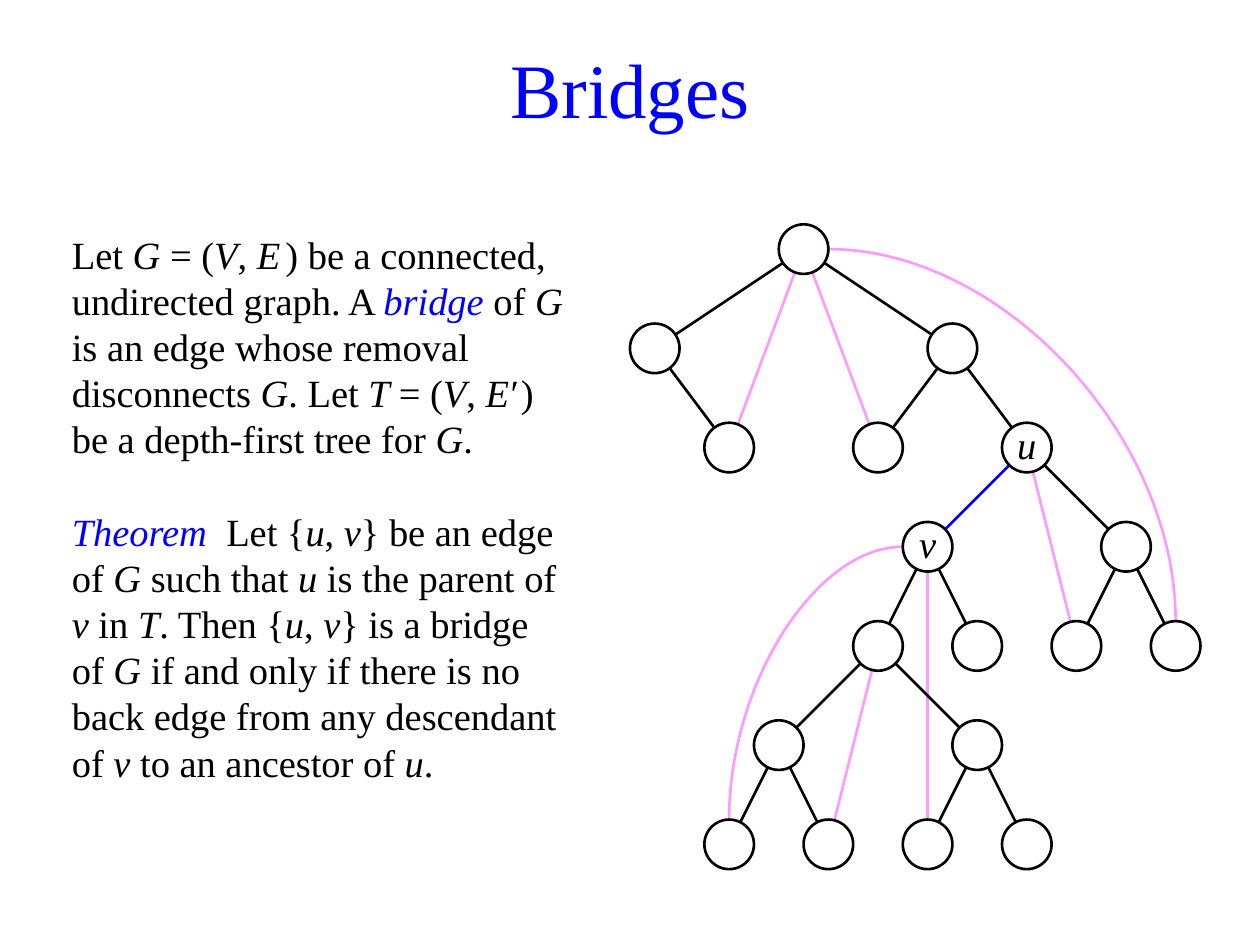
import pptx
import pptx.dml.color
import pptx.enum.shapes
import pptx.enum.text
import pptx.oxml
import pptx.oxml.ns
import pptx.util

Pt = pptx.util.Pt
FONT = "Times New Roman"
BLACK, BLUE, PINK, WHITE = "000000", "0000FF", "FF99FF", "FFFFFF"
STYLES = {"roman": (BLACK, False), "italic": (BLACK, True), "term": (BLUE, True)}

# Each piece is text, style and, where needed, letter spacing in points.
DEFINITION = [
    ("Let ", "roman"), ("G ", "italic"), ("= (", "roman"), ("V", "italic"),
    (", ", "roman"), ("E", "italic", 3),
    (") be a connected, undirected graph. A ", "roman"), ("bridge", "term"),
    (" of ", "roman"), ("G", "italic"),
    (" is an edge whose removal disconnects ", "roman"), ("G", "italic"),
    (". Let ", "roman"), ("T ", "italic"), ("= (", "roman"), ("V", "italic"),
    (", ", "roman"), ("E", "italic", 1), ("′", "roman", 1),
    (") be a depth-first tree for ", "roman"), ("G", "italic"), (".", "roman"),
]
THEOREM = [
    ("Theorem", "term"), (" ", "term", 5.5), ("Let {", "roman"), ("u", "italic"),
    (", ", "roman"), ("v", "italic"), ("} be an edge of ", "roman"),
    ("G", "italic"), (" such that ", "roman"), ("u", "italic"),
    (" is the parent of ", "roman"), ("v", "italic"), (" in ", "roman"),
    ("T", "italic"), (". Then {", "roman"), ("u", "italic"), (", ", "roman"),
    ("v", "italic"), ("} is a bridge of ", "roman"), ("G", "italic"),
    (" if and only if there is no back edge from any descendant of ", "roman"),
    ("v", "italic"), (" to an ancestor of ", "roman"), ("u", "italic"),
    (".", "roman"),
]

# Node name: (column in node radii, level in the tree).
NODES = {
    "root": (6, 0), "a": (0, 1), "b": (12, 1), "c": (3, 2), "d": (9, 2),
    "u": (15, 2), "v": (11, 3), "e": (19, 3), "f": (9, 4), "g": (13, 4),
    "h": (17, 4), "i": (21, 4), "j": (5, 5), "k": (13, 5), "l": (3, 6),
    "m": (7, 6), "n": (11, 6), "o": (15, 6),
}
CHILDREN = {"root": "ab", "a": "c", "b": "du", "u": "ve", "v": "fg",
            "e": "hi", "f": "jk", "j": "lm", "k": "no"}
BACK_EDGES = [("c", "root"), ("d", "root"), ("h", "u"), ("n", "v"), ("m", "f")]
CURVED_BACK_EDGES = [("root", "i"), ("v", "l")]


def colour(code):
    return pptx.dml.color.RGBColor.from_string(code)


def add_span(para, text, size, code, italic=False, spacing=0):
    span = para.add_run()
    span.text = text
    font = span.font
    font.name, font.size, font.italic = FONT, Pt(size), italic
    font.color.rgb = colour(code)
    if spacing:
        span.font._element.set("spc", str(round(spacing * 100)))


def place_title(page, left, top, width, height):
    title = page.shapes.title
    title.left, title.top = Pt(left), Pt(top)
    title.width, title.height = Pt(width), Pt(height)
    frame = title.text_frame
    frame.vertical_anchor = pptx.enum.text.MSO_ANCHOR.MIDDLE
    para = frame.paragraphs[0]
    para.alignment = pptx.enum.text.PP_ALIGN.CENTER
    add_span(para, "Bridges", 44, BLUE)


def place_statements(page, left, top, width, height):
    box = page.shapes.add_textbox(Pt(left), Pt(top), Pt(width), Pt(height))
    frame = box.text_frame
    frame.word_wrap = True
    line_height = 26.4
    for index, pieces in enumerate([DEFINITION, THEOREM]):
        para = frame.add_paragraph() if index else frame.paragraphs[0]
        para.line_spacing = Pt(line_height)
        para.space_before = Pt(line_height * index)
        for text, style, *spacing in pieces:
            add_span(para, text, 22, *STYLES[style], *spacing)


def add_edge(page, start, end, code, curved=False):
    kinds = pptx.enum.shapes.MSO_CONNECTOR
    edge = page.shapes.add_connector(
        kinds.CURVE if curved else kinds.STRAIGHT,
        *(Pt(value) for value in (*start, *end)))
    edge.line.color.rgb = colour(code)
    edge.line.width = Pt(1.5)
    properties = edge._element.spPr
    if curved:
        geometry = properties.find(pptx.oxml.ns.qn("a:prstGeom"))
        geometry.set("prst", "curvedConnector2")
    properties.append(pptx.oxml.parse_xml(
        "<a:effectLst %s/>" % pptx.oxml.ns.nsdecls("a")))


def add_node(page, centre, radius, label):
    x, y = centre
    node = page.shapes.add_shape(
        pptx.enum.shapes.MSO_SHAPE.OVAL, Pt(x - radius), Pt(y - radius),
        Pt(2 * radius), Pt(2 * radius))
    node.shadow.inherit = False
    node.fill.solid()
    node.fill.fore_color.rgb = colour(WHITE)
    node.line.color.rgb = colour(BLACK)
    node.line.width = Pt(1.5)
    if label:
        frame = node.text_frame
        frame.word_wrap = False
        frame.vertical_anchor = pptx.enum.text.MSO_ANCHOR.MIDDLE
        frame.margin_left = frame.margin_right = Pt(7.2)
        frame.margin_top, frame.margin_bottom = Pt(0), Pt(4.3)
        para = frame.paragraphs[0]
        para.alignment = pptx.enum.text.PP_ALIGN.CENTER
        add_span(para, label, 22, BLACK, True)


def place_tree(page, left, top, width, height):
    radius = width / 23
    level_gap = (height - 2 * radius) / 6
    centres = {name: (left + radius * (column + 1), top + radius + level_gap * level)
               for name, (column, level) in NODES.items()}

    for start, end in CURVED_BACK_EDGES:
        (start_x, start_y), (end_x, end_y) = centres[start], centres[end]
        side = radius if end_x > start_x else -radius
        add_edge(page, (start_x + side, start_y), (end_x, end_y - radius), PINK, True)
    for start, end in BACK_EDGES:
        add_edge(page, centres[start], centres[end], PINK)
    for parent, children in CHILDREN.items():
        for child in children:
            code = BLUE if (parent, child) == ("u", "v") else BLACK
            add_edge(page, centres[parent], centres[child], code)
    for name, centre in centres.items():
        add_node(page, centre, radius, name if name in ("u", "v") else "")


def main():
    deck = pptx.Presentation()
    deck.slide_width, deck.slide_height = Pt(720), Pt(540)
    page = deck.slides.add_slide(deck.slide_layouts[5])
    place_title(page, 34, 15, 652, 70.5)
    place_statements(page, 34, 128.2, 297.4, 326)
    place_tree(page, 360, 128.2, 326, 368.5)
    deck.save("out.pptx")


if __name__ == "__main__":
    main()
